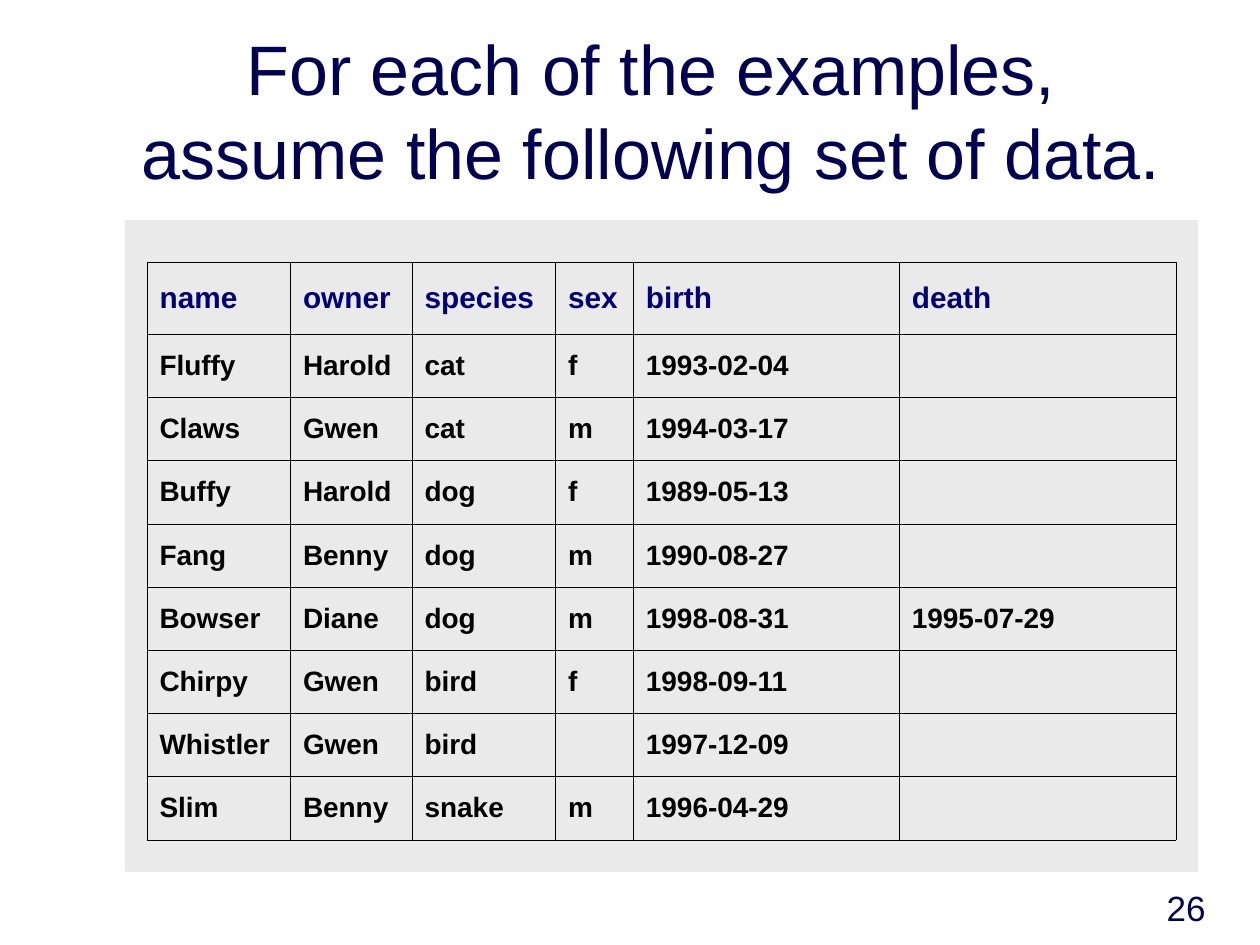
from lxml.etree import SubElement
from pptx import Presentation
from pptx.dml.color import RGBColor
from pptx.enum.shapes import MSO_SHAPE
from pptx.enum.text import MSO_ANCHOR, PP_ALIGN
from pptx.oxml.ns import qn
from pptx.util import Pt


def color(value):
    return RGBColor.from_string(value)


def write(frame, text, size=16, ink="000000", bold=False, align=PP_ALIGN.LEFT, anchor=MSO_ANCHOR.BOTTOM):
    frame.word_wrap = True
    frame.vertical_anchor = anchor
    paragraph = frame.paragraphs[0]
    paragraph.alignment = align
    run = paragraph.add_run()
    run.text = text
    run.font.name = "Arial"
    run.font.size = Pt(size)
    run.font.bold = bold
    run.font.color.rgb = color(ink)
    return paragraph


presentation = Presentation()
presentation.slide_width = Pt(720)
presentation.slide_height = Pt(540)
slide = presentation.slides.add_slide(presentation.slide_layouts[6])

heading = slide.shapes.add_textbox(Pt(66), Pt(12), Pt(612), Pt(102))
write(heading.text_frame, "For each of the examples, assume the following set of data.",
      size=40, ink="000054", align=PP_ALIGN.CENTER)

panel = slide.shapes.add_shape(MSO_SHAPE.RECTANGLE, Pt(72), Pt(126), Pt(612), Pt(372))
panel.shadow.inherit = False
panel.fill.solid()
panel.fill.fore_color.rgb = color("EAEAEA")
panel.line.color.rgb = color("EAEAEA")
panel.line.width = Pt(0.75)

pets = [
    ("name", "owner", "species", "sex", "birth", "death"),
    ("Fluffy", "Harold", "cat", "f", "1993-02-04", ""),
    ("Claws", "Gwen", "cat", "m", "1994-03-17", ""),
    ("Buffy", "Harold", "dog", "f", "1989-05-13", ""),
    ("Fang", "Benny", "dog", "m", "1990-08-27", ""),
    ("Bowser", "Diane", "dog", "m", "1998-08-31", "1995-07-29"),
    ("Chirpy", "Gwen", "bird", "f", "1998-09-11", ""),
    ("Whistler", "Gwen", "bird", "", "1997-12-09", ""),
    ("Slim", "Benny", "snake", "m", "1996-04-29", ""),
]
column_widths = [82, 69.5, 82, 44.5, 152, 158]
header_height, pet_height = 41, 36.12

pet_table = slide.shapes.add_table(len(pets), len(column_widths), Pt(84), Pt(150), Pt(588), Pt(330)).table
pet_table.first_row = False
pet_table.horz_banding = False
for column, width in zip(pet_table.columns, column_widths):
    column.width = Pt(width)

for row_index, pet in enumerate(pets):
    is_header = row_index == 0
    pet_table.rows[row_index].height = Pt(header_height if is_header else pet_height)
    for column_index, value in enumerate(pet):
        cell = pet_table.cell(row_index, column_index)
        cell.vertical_anchor = MSO_ANCHOR.MIDDLE
        cell_properties = cell._tc.get_or_add_tcPr()
        for side in ("a:lnL", "a:lnR", "a:lnT", "a:lnB"):
            border = SubElement(cell_properties, qn(side), w=str(int(Pt(0.34))))
            border_fill = SubElement(border, qn("a:solidFill"))
            SubElement(border_fill, qn("a:srgbClr"), val="000000")
        cell.fill.background()
        if value:
            entry = write(cell.text_frame, value, size=17 if is_header else 16,
                          ink="00007A" if is_header else "000000", bold=True, anchor=MSO_ANCHOR.MIDDLE)
            entry_properties = entry._p.get_or_add_pPr()
            entry_properties.set("marL", str(int(Pt(27))))
            entry_properties.set("indent", str(int(Pt(-27))))

page_number = slide.shapes.add_textbox(Pt(546), Pt(498), Pt(150), Pt(36))
write(page_number.text_frame, "26", size=20, ink="000054", align=PP_ALIGN.RIGHT)

presentation.save("out.pptx")
